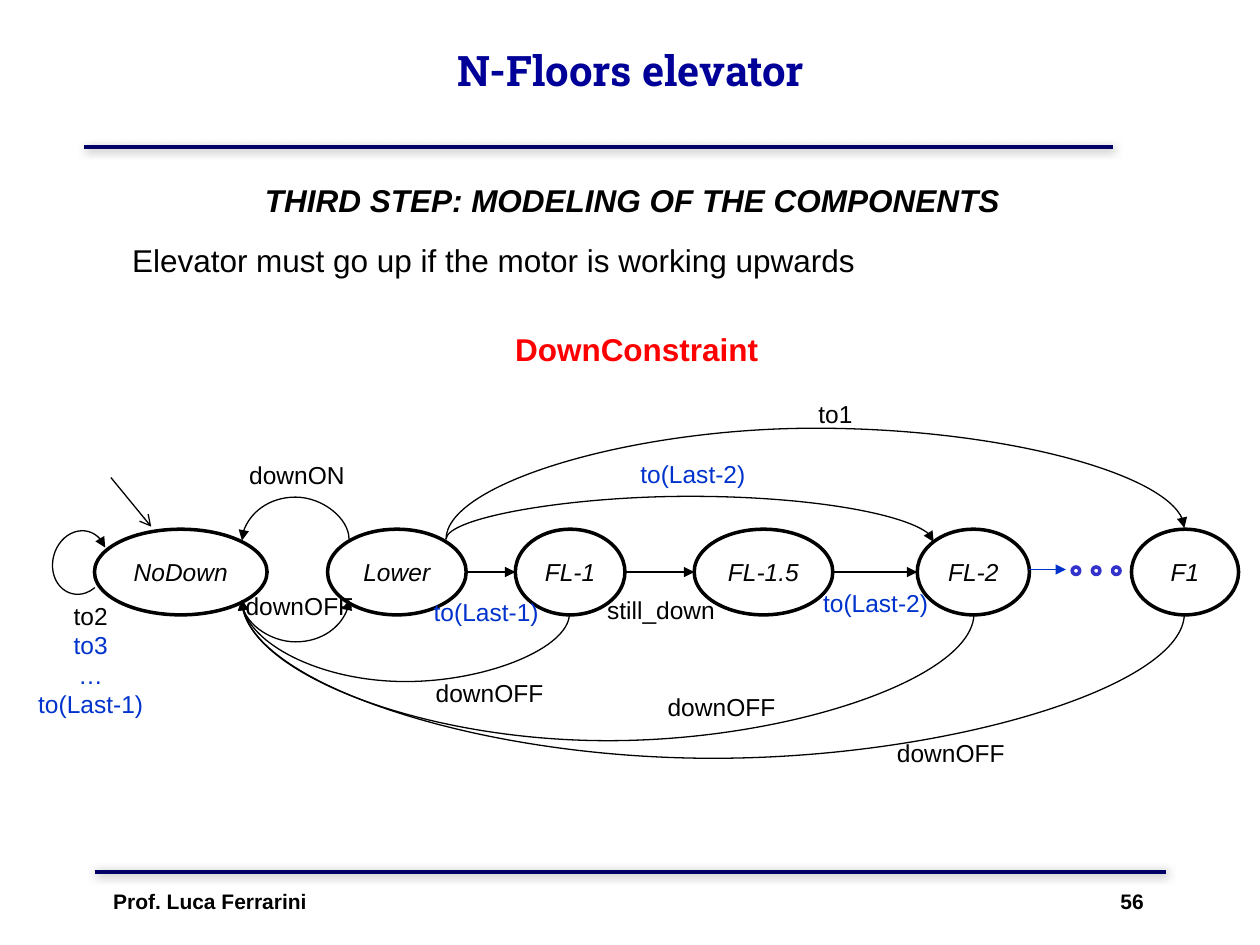
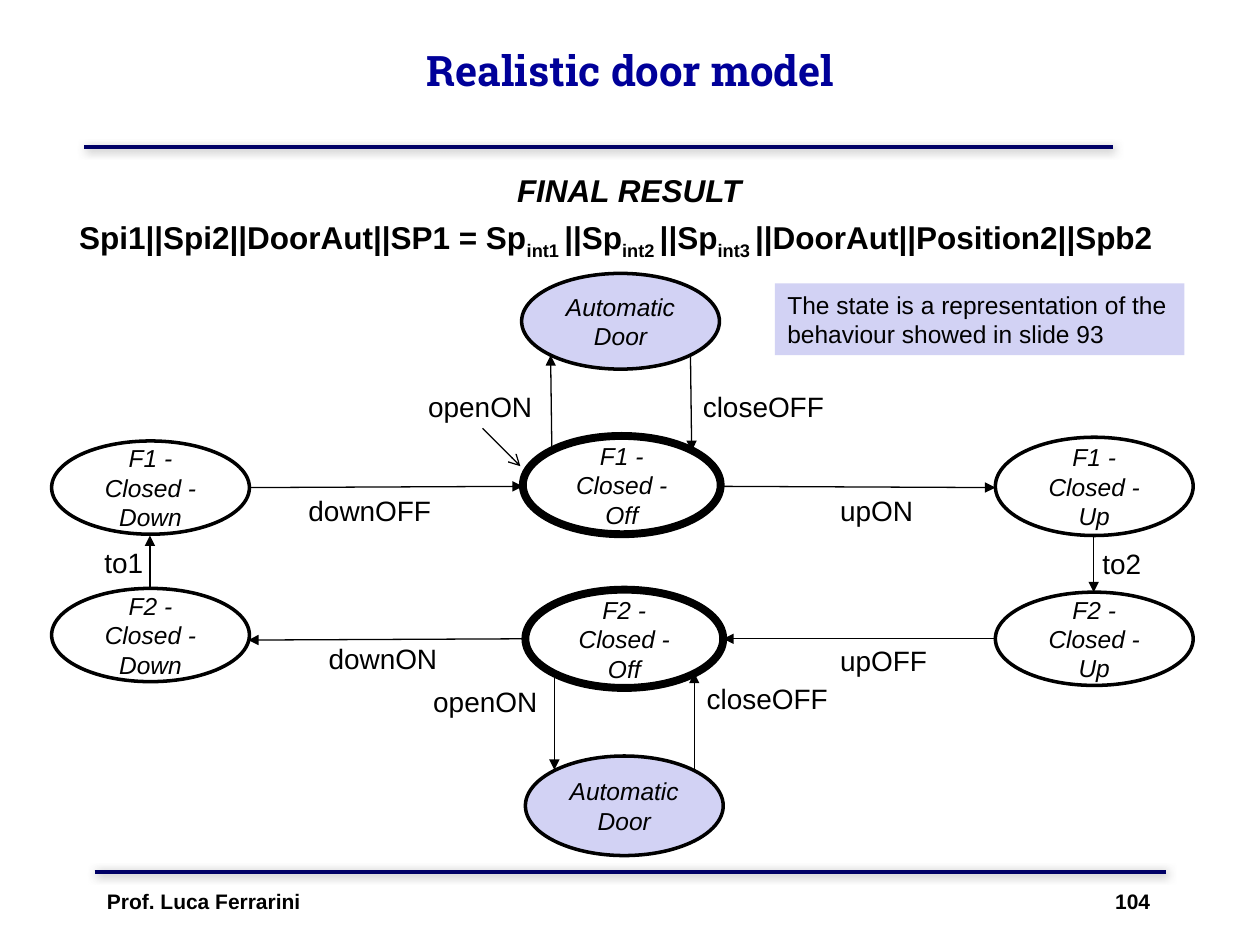
from dataclasses import dataclass
from itertools import pairwise

from lxml.etree import SubElement
from pptx import Presentation
from pptx.dml.color import RGBColor
from pptx.enum.shapes import MSO_CONNECTOR, MSO_SHAPE
from pptx.enum.text import MSO_ANCHOR, PP_ALIGN
from pptx.oxml.ns import qn
from pptx.slide import Slide
from pptx.util import Inches, Pt

COLORS = {"ink": "000000", "white": "FFFFFF", "title": "000099", "rule": "000066",
          "shadow": "808080", "blue": "0033CC", "dot": "3333CC", "red": "FF0000",
          "lilac": "D2D2F4"}
BODY_FONT, TITLE_FONT = "Arial", "Roboto Slab"
LEFT, CENTER = PP_ALIGN.LEFT, PP_ALIGN.CENTER


@dataclass
class Region:
    """An area of a page; parts are placed from its top left corner."""
    page: Slide
    left: float
    top: float

    def place(self, x, y):
        return Inches(self.left + x), Inches(self.top + y)


def rgb(name):
    return RGBColor.from_string(COLORS[name])


def write(para, text, size, color="ink", bold=False, italic=False, font=BODY_FONT):
    span = para.add_run()
    span.text = text
    span.font.name = font
    span.font.size = Pt(size)
    span.font.bold = bold
    span.font.italic = italic
    span.font.color.rgb = rgb(color)
    return span


def text_box(region, x, y, width, height, align=LEFT):
    box = region.page.shapes.add_textbox(*region.place(x, y), Inches(width), Inches(height))
    box.text_frame.word_wrap = True
    para = box.text_frame.paragraphs[0]
    para.alignment = align
    return para


def label(region, text, x, y, width, size=14, color="ink", align=LEFT, **style):
    para = text_box(region, x, y, width, 0.02 * size + 0.06, align)
    write(para, text, size, color, **style)


def add_filled(region, kind, x, y, width, height, fill, line=None, weight=2):
    shape = region.page.shapes.add_shape(
        kind, *region.place(x, y), Inches(width), Inches(height))
    shape.shadow.inherit = False
    shape.fill.solid()
    shape.fill.fore_color.rgb = rgb(fill)
    if line:
        shape.line.color.rgb = rgb(line)
        shape.line.width = Pt(weight)
    else:
        shape.line.fill.background()
    return shape


def state(region, name, x, y, width, height, fill="white", weight=2):
    oval = add_filled(region, MSO_SHAPE.OVAL, x, y, width, height, fill, "ink", weight)
    frame = oval.text_frame
    frame.word_wrap = " " in name
    frame.vertical_anchor = MSO_ANCHOR.MIDDLE
    frame.paragraphs[0].alignment = CENTER
    write(frame.paragraphs[0], name, 14, italic=True)


def style_line(shape, color, weight, end=None, head="triangle"):
    shape.line.color.rgb = rgb(color)
    shape.line.width = Pt(weight)
    if end:
        SubElement(shape.line._get_or_add_ln(), qn(f"a:{end}"), type=head)


def connect(region, start, finish, color="ink", weight=0.75, end="tailEnd", head="triangle"):
    line = region.page.shapes.add_connector(
        MSO_CONNECTOR.STRAIGHT, *region.place(*start), *region.place(*finish))
    style_line(line, color, weight, end, head)
    return line, SubElement(line._element.spPr, qn("a:effectLst"))


def loop(region, start, finish, crest):
    """Curved arrow that leaves vertically, turns at height crest and comes back."""
    (x1, y1), (x2, y2) = start, finish
    rise, run = y2 - y1, x2 - x1
    curve = region.page.shapes.add_connector(MSO_CONNECTOR.CURVE, 0, 0, 0, 0)
    # The frame is turned by 90 degrees, so its width spans the rise
    curve.left, curve.top = region.place((x1 + x2 - abs(rise)) / 2, (y1 + y2 - abs(run)) / 2)
    curve.width, curve.height = Inches(abs(rise)), Inches(abs(run))
    properties = curve._element.spPr
    frame = properties.xfrm
    frame.set("rot", str(90 * 60000))
    frame.set("flipH", str(int(rise < 0)))
    frame.set("flipV", str(int(run > 0)))
    guides = properties.find(qn("a:prstGeom")).get_or_add_avLst()
    bend = round((crest - y1) / rise * 100000)
    SubElement(guides, qn("a:gd"), name="adj1", fmla=f"val {bend}")
    style_line(curve, "ink", 0.75, "tailEnd")
    SubElement(properties, qn("a:effectLst"))


# ---- Shared frame ----
def add_rules(page, layout):
    """Header and footer rules, kept on the layout."""
    region = Region(page, 0, 0)
    for left, right, y in ((0.67, 8.83, 1.17), (0.75, 9.25, 6.92)):
        line, effects = connect(region, (left, y), (right, y), "rule", 2.25, end=None)
        shadow = SubElement(effects, qn("a:outerShdw"), blurRad=str(Pt(5)),
                            dist=str(Pt(1.4)), dir=str(45 * 60000))
        tint = SubElement(shadow, qn("a:srgbClr"), val=COLORS["shadow"])
        SubElement(tint, qn("a:alpha"), val="75000")
        layout.shapes.element.append(line._element)


def add_title(page, text):
    title = page.shapes.title
    title.left, title.top = Inches(0.92), Inches(-0.07)
    title.width, title.height = Inches(8.17), Inches(1.25)
    title.text_frame.vertical_anchor = MSO_ANCHOR.MIDDLE
    para = title.text_frame.paragraphs[0]
    para.alignment = CENTER
    write(para, text, 24, "title", bold=True, font=TITLE_FONT)


def add_footer(page, number, margin):
    para = text_box(Region(page, margin - 0.1, 7), 0, 0, 9.76 - margin, 0.5)
    tabs = SubElement(para._p.get_or_add_pPr(), qn("a:tabLst"))
    SubElement(tabs, qn("a:tab"), pos=str(Inches(9.98 - 2 * margin)), algn="r")
    write(para, f"Prof. Luca Ferrarini\t{number}", 12, bold=True)


def add_page(deck, title, number, footer_margin):
    page = deck.slides.add_slide(deck.slide_layouts[5])
    add_title(page, title)
    add_footer(page, number, footer_margin)
    return page


# ---- Elevator slide ----
def elevator_heading(region):
    label(region, "THIRD STEP: MODELING OF THE COMPONENTS", 0.7, 0.39, 8.64, 18,
          align=CENTER, bold=True, italic=True)
    label(region, "Elevator must go up if the motor is working upwards", 0.95, 0.86, 8.64, 18)
    label(region, "DownConstraint", 3.99, 1.57, 2.15, 18, "red", bold=True)


def elevator_automaton(region):
    top, height, middle = 1.2, 0.68, 1.54
    states = {"NoDown": (0.75, 1.37), "Lower": (2.6, 1.1), "FL-1": (4.09, 0.87),
              "FL-1.5": (5.51, 1.1), "FL-2": (7.28, 0.89), "F1": (8.98, 0.85)}
    for name, (x, width) in states.items():
        state(region, name, x, top, width, height)

    # Chain of floors, then dots for the floors left out
    for before, after in pairwise(("Lower", "FL-1", "FL-1.5", "FL-2")):
        x, width = states[before]
        connect(region, (x + width, middle), (states[after][0], middle))
    connect(region, (8.17, 1.52), (8.46, 1.52), "blue")
    for index in range(3):
        add_filled(region, MSO_SHAPE.OVAL, 8.51 + 0.16 * index, 1.5, 0.06, 0.06,
                   "white", "dot")

    # Start arrow and the loop of NoDown on itself
    connect(region, (0.88, 0.79), (1.2, 1.18), head="arrow")
    arc = add_filled(region, MSO_SHAPE.ARC, 0.38, 1.25, 0.51, 0.43, "white", "ink")
    arc.fill.background()
    arc.rotation = 285.3
    arc._element.spPr.xfrm.set("flipH", "1")
    arc.adjustments[0], arc.adjustments[1] = 81.6, 27.6
    style_line(arc, "ink", 0.75, "headEnd")

    # Curved transitions
    no_down, lower = (1.92, 1.76), (3.54, 1.28)
    loop(region, (2.77, 1.28), (1.92, 1.29), 0.94)
    loop(region, (1.92, 1.77), (2.77, 1.76), 2.1)
    loop(region, lower, (7.41, 1.3), 0.94)
    loop(region, lower, (9.4, 1.19), 0.4)
    for x, crest in ((4.52, 2.41), (7.73, 2.88), (9.4, 3.02)):
        loop(region, (x, 1.87), no_down, crest)

    # Event names
    for text, x, y, width in (("downON", 1.88, 0.6, 0.97), ("downOFF", 1.85, 1.64, 1.08),
                              ("downOFF", 3.36, 2.33, 1.08), ("downOFF", 5.2, 2.44, 1.08),
                              ("downOFF", 7.02, 2.81, 1.1), ("still_down", 4.72, 1.67, 1.11)):
        label(region, text, x, y, width)
    label(region, "to1", 6.22, 0.12, 0.82, align=CENTER)
    for text, x, y in (("to(Last-2)", 4.9, 0.59), ("to(Last-1)", 3.26, 1.69),
                       ("to(Last-2)", 6.35, 1.62)):
        label(region, text, x, y, 1.2, color="blue", align=CENTER)

    para = text_box(region, 0.18, 1.72, 1.08, 1.04, CENTER)
    write(para, "to2", 14)
    for text in ("to3", "…", "to(Last-1)"):
        para = para._parent.add_paragraph()
        para.alignment = CENTER
        write(para, text, 14, "blue")


# ---- Door slide ----
def door_heading(region):
    label(region, "FINAL RESULT", 0.86, 0.31, 8.27, 18, align=CENTER, bold=True, italic=True)
    para = text_box(region, 0.53, 0.68, 8.94, 0.4)
    write(para, "Spi1||Spi2||DoorAut||SP1 = Sp", 18, bold=True)
    for index, following in (("int1 ", "||Sp"), ("int2 ", "||Sp"),
                             ("int3 ", "||DoorAut||Position2||Spb2")):
        span = write(para, index, 18, bold=True)
        span._r.get_or_add_rPr().set("baseline", "-25000")
        write(para, following, 18, bold=True)


def door_note(region):
    note = add_filled(region, MSO_SHAPE.RECTANGLE, 0, 0, 3.25, 0.57, "lilac")
    note.text_frame.word_wrap = True
    note.text_frame.vertical_anchor = MSO_ANCHOR.TOP
    para = note.text_frame.paragraphs[0]
    para.alignment = LEFT
    write(para, "The state is a representation of the behaviour showed in slide 93", 14)


def door_automaton(region):
    width = 1.57
    for name, x, y, height in (
            ("F1 - Closed - Down", 0.41, 1.5, 0.74), ("F1 - Closed - Off", 4.15, 1.46, 0.78),
            ("F1 - Closed - Up", 7.9, 1.47, 0.78), ("F2 - Closed - Down", 0.41, 2.67, 0.74),
            ("F2 - Closed - Off", 4.17, 2.68, 0.78), ("F2 - Closed - Up", 7.9, 2.7, 0.74),
            ("Automatic Door", 4.14, 0.17, 0.76), ("Automatic Door", 4.17, 4, 0.79)):
        fill = "lilac" if name.startswith("Automatic") else "white"
        state(region, name, x, y, width, height, fill, 4.5 if name.endswith("Off") else 2)

    # Transitions: around the floors, then to and from the doors
    connect(region, (3.83, 1.4), (4.13, 1.7), head="arrow")
    for start, finish in (
            ((1.98, 1.87), (4.15, 1.86)), ((5.72, 1.86), (7.9, 1.87)),
            ((8.68, 2.26), (8.68, 2.7)), ((7.9, 3.07), (5.74, 3.07)),
            ((4.17, 3.07), (1.97, 3.08)), ((1.19, 2.67), (1.19, 2.25)),
            ((4.38, 1.58), (4.37, 0.82)), ((5.48, 0.82), (5.49, 1.58)),
            ((4.4, 3.34), (4.4, 4.11)), ((5.51, 4.11), (5.51, 3.34))):
        connect(region, start, finish)

    # Event names
    for text, x, y, room in (
            ("downOFF", 2.35, 1.87, 1.23), ("upON", 6.57, 1.87, 0.84),
            ("to2", 8.65, 2.29, 0.75), ("upOFF", 6.57, 3.06, 0.94),
            ("downON", 2.51, 3.04, 1.07), ("to1", 0.73, 2.28, 0.75),
            ("openON", 3.3, 1.04, 1.04), ("closeOFF", 5.48, 1.04, 1.18),
            ("openON", 3.34, 3.38, 1.04), ("closeOFF", 5.51, 3.36, 1.18)):
        label(region, text, x, y, room, 16)


def main():
    deck = Presentation()
    deck.slide_width, deck.slide_height = Inches(10), Inches(7.5)

    page = add_page(deck, "N-Floors elevator", 56, 0.9)
    add_rules(page, page.slide_layout)
    elevator_heading(Region(page, 0, 1))
    elevator_automaton(Region(page, 0, 3))

    page = add_page(deck, "Realistic door model", 104, 0.85)
    door_heading(Region(page, 0, 1))
    door_note(Region(page, 6.15, 2.25))
    door_automaton(Region(page, 0, 2))

    deck.save("out.pptx")


if __name__ == "__main__":
    main()
